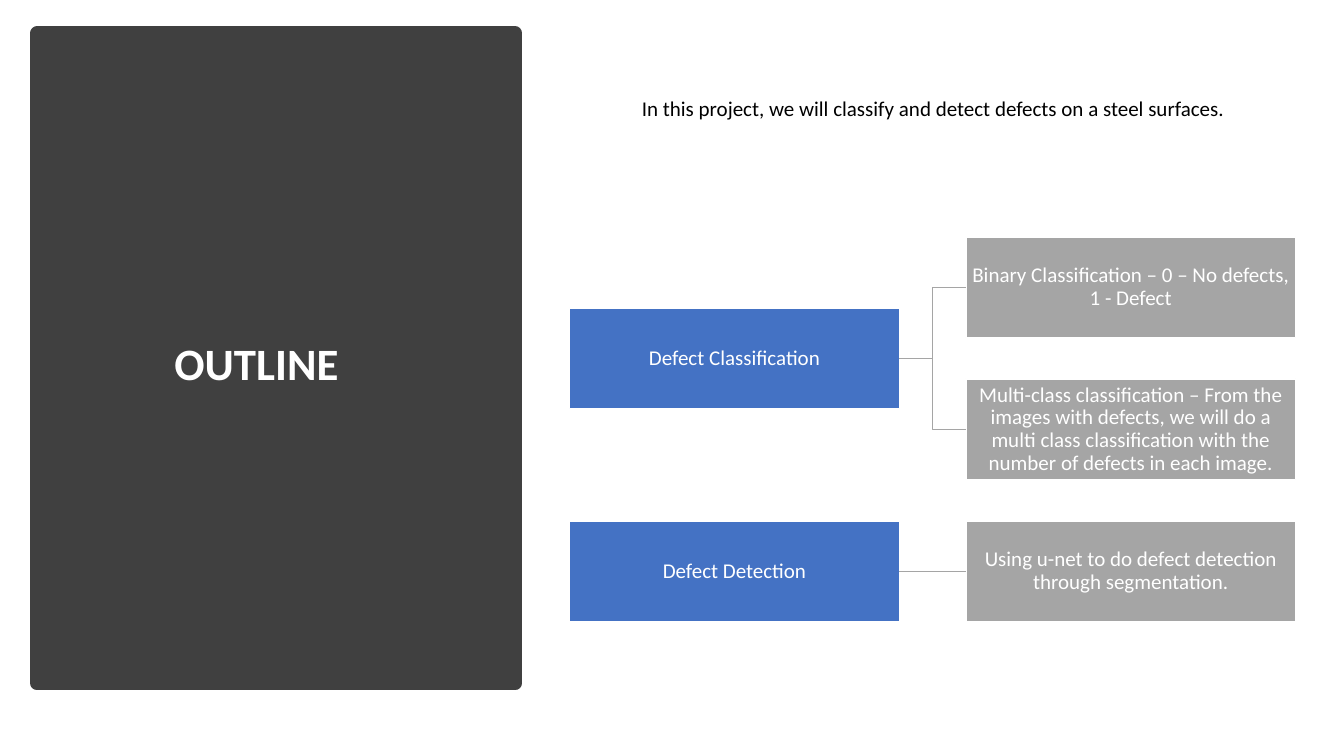
"""Build the outline slide with its tree of defect tasks."""
from dataclasses import dataclass

from lxml import etree
from pptx import Presentation
from pptx.dml.color import RGBColor
from pptx.enum.shapes import MSO_CONNECTOR, MSO_SHAPE
from pptx.enum.text import MSO_ANCHOR, PP_ALIGN
from pptx.oxml.ns import qn
from pptx.util import Inches, Pt

RECT = MSO_SHAPE.RECTANGLE
ELBOW, LINE = MSO_CONNECTOR.ELBOW, MSO_CONNECTOR.STRAIGHT
LEFT, MID = PP_ALIGN.LEFT, PP_ALIGN.CENTER
CENTER = MSO_ANCHOR.MIDDLE
EAST, WEST = 3, 1


@dataclass(frozen=True)
class Theme:
    font: str = "Calibri"
    dark: str = "404040"
    blue: str = "4472C4"
    gray: str = "A5A5A5"
    white: str = "FFFFFF"
    black: str = "000000"
    head: int = 32
    body: int = 15


def rgb(code):
    return RGBColor.from_string(code)


def write(frame, text, *, font, size, color, bold=False, align=MID, pad=0.01):
    frame.word_wrap = True
    frame.vertical_anchor = CENTER
    frame.margin_left = frame.margin_right = Inches(pad)
    frame.margin_top = frame.margin_bottom = Inches(pad)
    para = frame.paragraphs[0]
    para.alignment = align
    para.line_spacing = 0.9
    run = para.add_run()
    run.text = text
    run.font.name = font
    run.font.size = Pt(size)
    run.font.bold = bold
    run.font.color.rgb = rgb(color)


class Deck:
    def __init__(self, slide, theme):
        self.slide = slide
        self.theme = theme

    def box(self, area, fill, edge, width=1):
        shape = self.slide.shapes.add_shape(RECT, *map(Inches, area))
        shape.shadow.inherit = False
        shape.fill.solid()
        shape.fill.fore_color.rgb = rgb(fill)
        shape.line.color.rgb = rgb(edge)
        shape.line.width = Pt(width)
        return shape

    def title(self, area, text):
        frame = self.slide.shapes.add_textbox(*map(Inches, area)).text_frame
        write(frame, text, font=self.theme.font, size=self.theme.head,
              color=self.theme.white, bold=True, align=LEFT, pad=0)

    def node(self, area, text, fill, color):
        shape = self.box(area, fill, self.theme.white)
        write(shape.text_frame, text, font=self.theme.font,
              size=self.theme.body, color=color)
        return shape

    def link(self, start, end):
        kind = LINE if start.top == end.top else ELBOW
        wire = self.slide.shapes.add_connector(kind, 0, 0, 0, 0)
        wire.begin_connect(start, EAST)
        wire.end_connect(end, WEST)
        wire.line.color.rgb = rgb(self.theme.gray)
        wire.line.width = Pt(1)
        etree.SubElement(wire._element.spPr, qn("a:effectLst"))


TREE = [
    ("Defect Classification", [
        "Binary Classification – 0 – No defects, 1 - Defect",
        "Multi-class classification – From the images with defects, we will "
        "do a multi class classification with the number of defects in each "
        "image.",
    ]),
    ("Defect Detection", [
        "Using u-net to do defect detection through segmentation.",
    ]),
]
ROOT, LEAF, TOP = 5.65, 9.58, 2.35
WIDE, HIGH, STEP = 3.27, 1, 1.41

prs = Presentation()
prs.slide_width, prs.slide_height = Inches(13.33), Inches(7.5)
theme = Theme()
deck = Deck(prs.slides.add_slide(prs.slide_layouts[6]), theme)

deck.box((0.37, 0.33, 4.74, 6.45), theme.dark, theme.dark, 10)
deck.title((1.73, 0.76, 3.08, 5.75), "OUTLINE")
deck.node((ROOT, 0.59, 7.21, HIGH),
          "In this project, we will classify and detect defects on a steel "
          "surfaces.", theme.white, theme.black)

row = 0
for task, parts in TREE:
    mid = TOP + STEP * (row + (len(parts) - 1) / 2)
    root = deck.node((ROOT, mid, WIDE, HIGH), task, theme.blue, theme.white)
    for part in parts:
        top = TOP + STEP * row
        leaf = deck.node((LEAF, top, WIDE, HIGH), part, theme.gray,
                         theme.white)
        deck.link(root, leaf)
        row += 1

prs.save("out.pptx")
